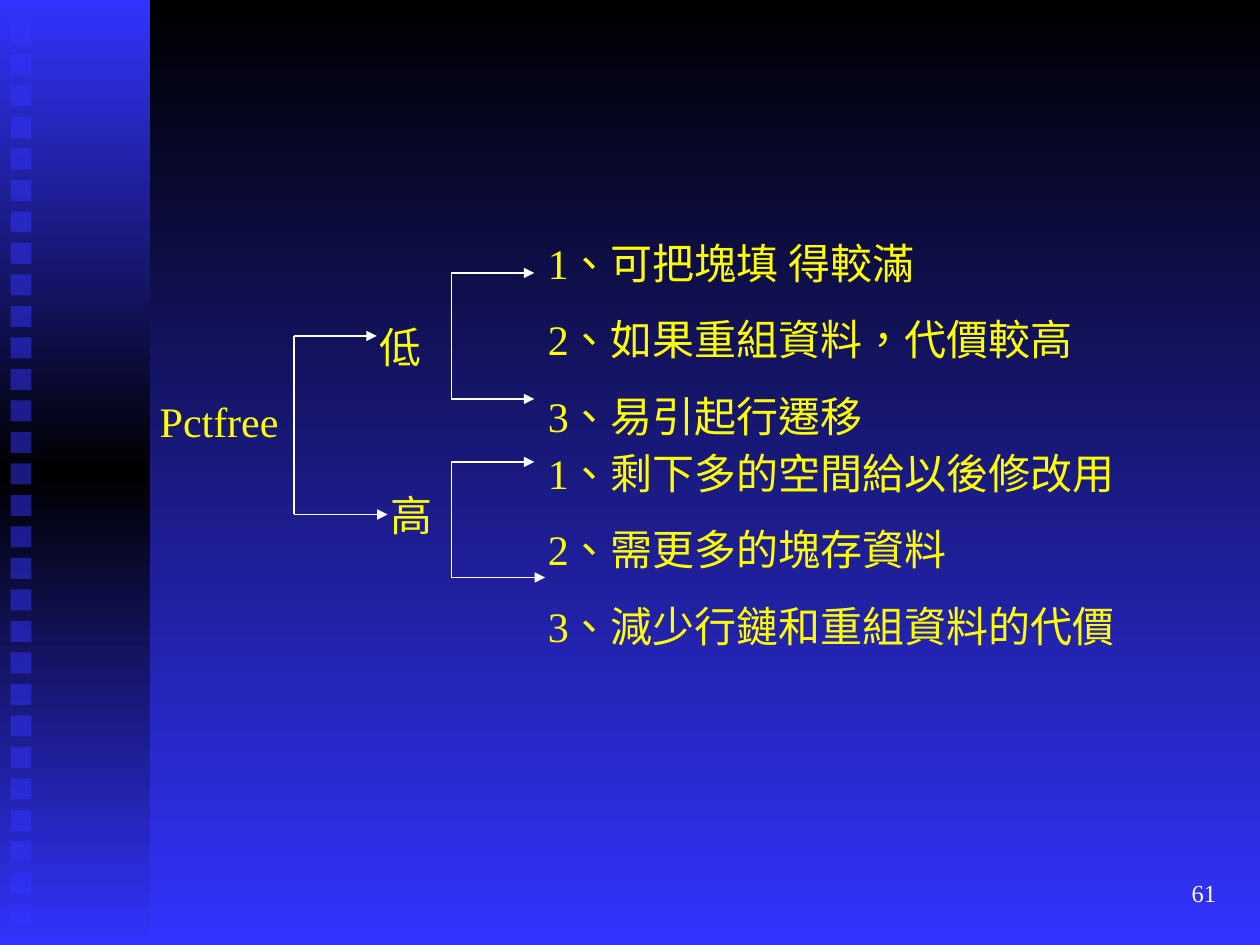
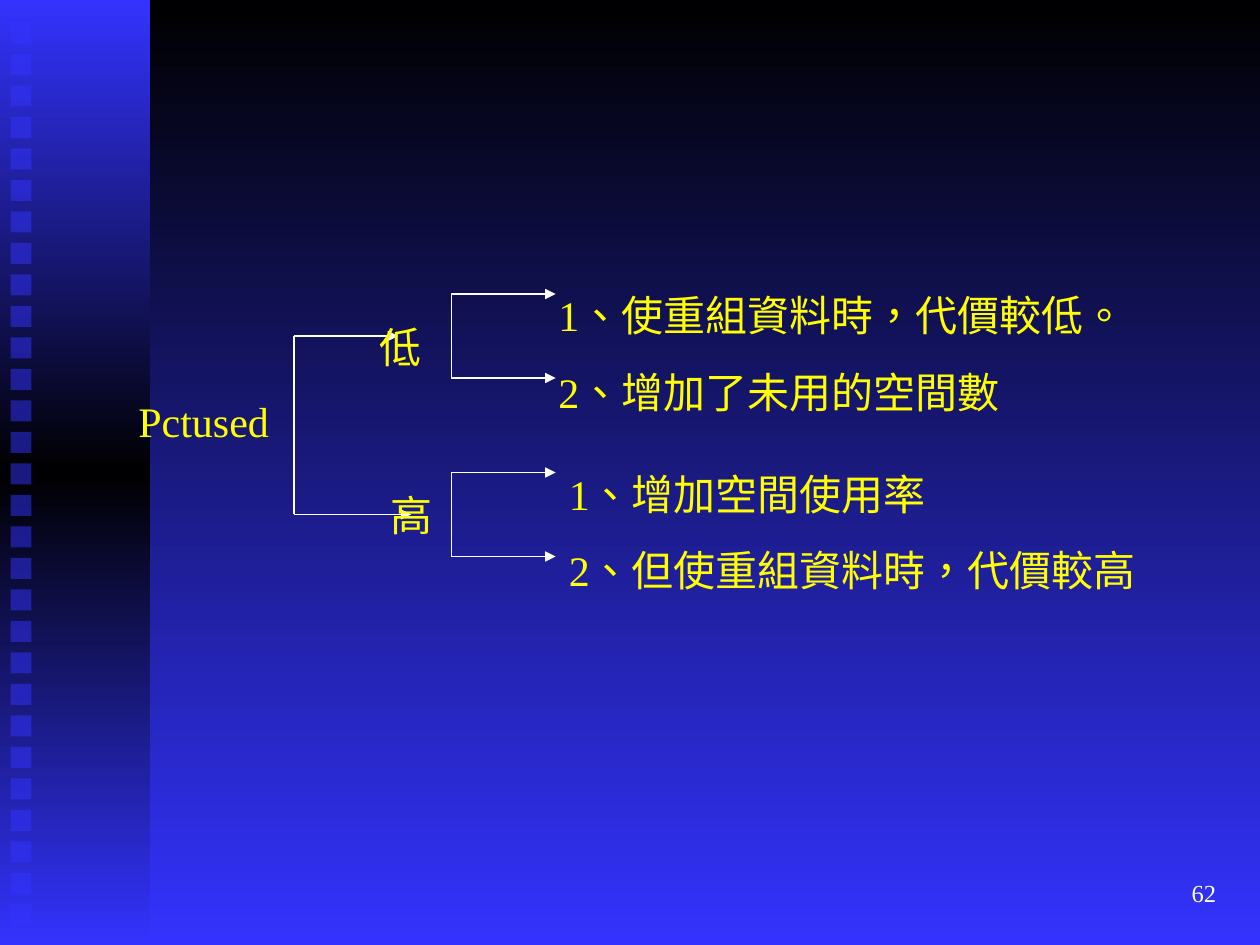
from lxml import etree
from pptx import Presentation
from pptx.dml.color import RGBColor
from pptx.enum import shapes, text
from pptx.oxml import ns
from pptx.util import Pt

BLUE, BLACK, WHITE, YELLOW = "3333FF", "000000", "FFFFFF", "FFFF00"
LATIN, CJK = "Times New Roman", "Noto Sans CJK SC"
LINE_HEIGHT, PARAGRAPH_GAP, INSETS = 28.8, 15, 7.2
ROOT_X, BRANCH_X = 168, 258
LOW_Y, HIGH_Y = 192, 294


def rgb(value):
    return RGBColor.from_string(value)


def sub(parent, tag, **attrs):
    return etree.SubElement(parent, ns.qn(tag), attrs)


def fill_gradient(fill, *colors):
    """Fill from top to bottom with evenly spaced colours."""
    fill.gradient()
    fill.gradient_angle = 270
    stops = fill._xPr.find(".//" + ns.qn("a:gsLst"))
    for stop in list(stops):
        stops.remove(stop)
    for i, color in enumerate(colors):
        stop = sub(stops, "a:gs", pos=str(100000 * i // (len(colors) - 1)))
        sub(stop, "a:srgbClr", val=color)


def add_rect(slide, x, y, w, h):
    sp = slide.shapes.add_shape(shapes.MSO_SHAPE.RECTANGLE, Pt(x), Pt(y), Pt(w), Pt(h))
    sp.shadow.inherit = False
    sp.line.fill.background()
    return sp


def decorate_master(prs, slide):
    """Give the master its background and the side band with its squares."""
    master = prs.slide_master
    fill_gradient(master.background.fill, BLACK, BLUE)
    band = add_rect(slide, 0, 0, 85.7, 540)
    fill_gradient(band.fill, BLUE, BLACK, BLUE)
    parts = [band]
    for i in range(29):
        square = add_rect(slide, 6, 12.8 + 18 * i, 12, 12)
        square.fill.solid()
        square.fill.fore_color.rgb = rgb(BLUE)
        color = square._element.spPr.find(".//" + ns.qn("a:srgbClr"))
        sub(color, "a:alpha", val="50000")
        parts.append(square)
    # Shapes can only be made on a slide, so they move to the master afterwards.
    for i, sp in enumerate(parts):
        master.shapes._spTree.insert(2 + i, sp._element)


def format_run(r, size, color, latin=LATIN):
    r.font.size = Pt(size)
    r.font.name = latin
    r.font.color.rgb = rgb(color)
    r._r.rPr.set("lang", "zh-TW")
    sub(r._r.rPr, "a:ea", typeface=CJK)


def add_box(slide, x, y, w, h):
    tf = slide.shapes.add_textbox(Pt(x), Pt(y), Pt(w), Pt(h)).text_frame
    tf.word_wrap = True
    return tf


def space(p):
    p.space_before = Pt(PARAGRAPH_GAP)
    p.line_spacing = Pt(LINE_HEIGHT)


def add_label(slide, x, y, w, label):
    p = add_box(slide, x, y, w, LINE_HEIGHT + INSETS).paragraphs[0]
    p.text = label
    space(p)
    format_run(p.runs[0], 24, YELLOW)


def add_effects(slide, x, y, w, effects):
    """Add a numbered list, with the numbers in the Latin font."""
    n = len(effects)
    tf = add_box(slide, x, y, w, INSETS + n * LINE_HEIGHT + (n - 1) * PARAGRAPH_GAP)
    for i, effect in enumerate(effects):
        p = tf.add_paragraph() if i else tf.paragraphs[0]
        space(p)
        for content, font in ((str(i + 1), LATIN), ("、" + effect, CJK)):
            r = p.add_run()
            r.text = content
            format_run(r, 24, YELLOW, font)


def add_line(slide, x1, y1, x2, y2, arrow=False):
    line = slide.shapes.add_connector(
        shapes.MSO_CONNECTOR.STRAIGHT, Pt(x1), Pt(y1), Pt(x2), Pt(y2))
    line.line.color.rgb = rgb(WHITE)
    line.line.width = Pt(1)
    if arrow:
        sub(line.line._get_or_add_ln(), "a:tailEnd", type="triangle")
    sub(line._element.spPr, "a:effectLst")


def add_bracket(slide, x, top, bottom, top_tip, bottom_tip):
    """Join two arrows by an upright line at x."""
    add_line(slide, x, top, x, bottom)
    add_line(slide, x, top, top_tip, top, arrow=True)
    add_line(slide, x, bottom, bottom_tip, bottom, arrow=True)


def add_page_number(slide, number):
    tf = add_box(slide, 552, 492, 150, 36)
    tf.vertical_anchor = text.MSO_ANCHOR.MIDDLE
    p = tf.paragraphs[0]
    p.text = str(number)
    p.alignment = text.PP_ALIGN.RIGHT
    format_run(p.runs[0], 14, WHITE)


def add_tree(slide, number, parameter, root_box, root_tips, branches):
    """Draw a parameter, its low and high settings and the effects of each."""
    add_label(slide, *root_box, parameter)
    add_bracket(slide, ROOT_X, LOW_Y, HIGH_Y, *root_tips)
    add_label(slide, 210, 180, 60, "低")
    add_label(slide, 216, 276.3, 72, "高")
    for bracket, effects_box, effects in branches:
        add_bracket(slide, BRANCH_X, *bracket)
        add_effects(slide, *effects_box, effects)
    add_page_number(slide, number)


def main():
    prs = Presentation()
    prs.slide_width, prs.slide_height = Pt(720), Pt(540)
    pctfree, pctused = [prs.slides.add_slide(prs.slide_layouts[6]) for _ in range(2)]
    decorate_master(prs, pctfree)
    add_tree(pctfree, 61, "Pctfree", (84.2, 222.3, 83.5), (215.3, 221.5), [
        ((156, 228, 305.3, 305.3), (306, 132, 414),
         ["可把塊填 得較滿", "如果重組資料，代價較高", "易引起行遷移"]),
        ((264, 330, 305.3, 311.5), (306, 252, 414),
         ["剩下多的空間給以後修改用", "需更多的塊存資料", "減少行鏈和重組資料的代價"]),
    ])
    add_tree(pctused, 62, "Pctused", (72, 222.3, 119.5), (227.5, 235), [
        ((168, 216, 317.5, 317.5), (312, 162, 390),
         ["使重組資料時，代價較低。", "增加了未用的空間數"]),
        ((270, 318, 317.5, 317.5), (318, 264, 390),
         ["增加空間使用率", "但使重組資料時，代價較高"]),
    ])
    prs.save("out.pptx")


if __name__ == "__main__":
    main()
